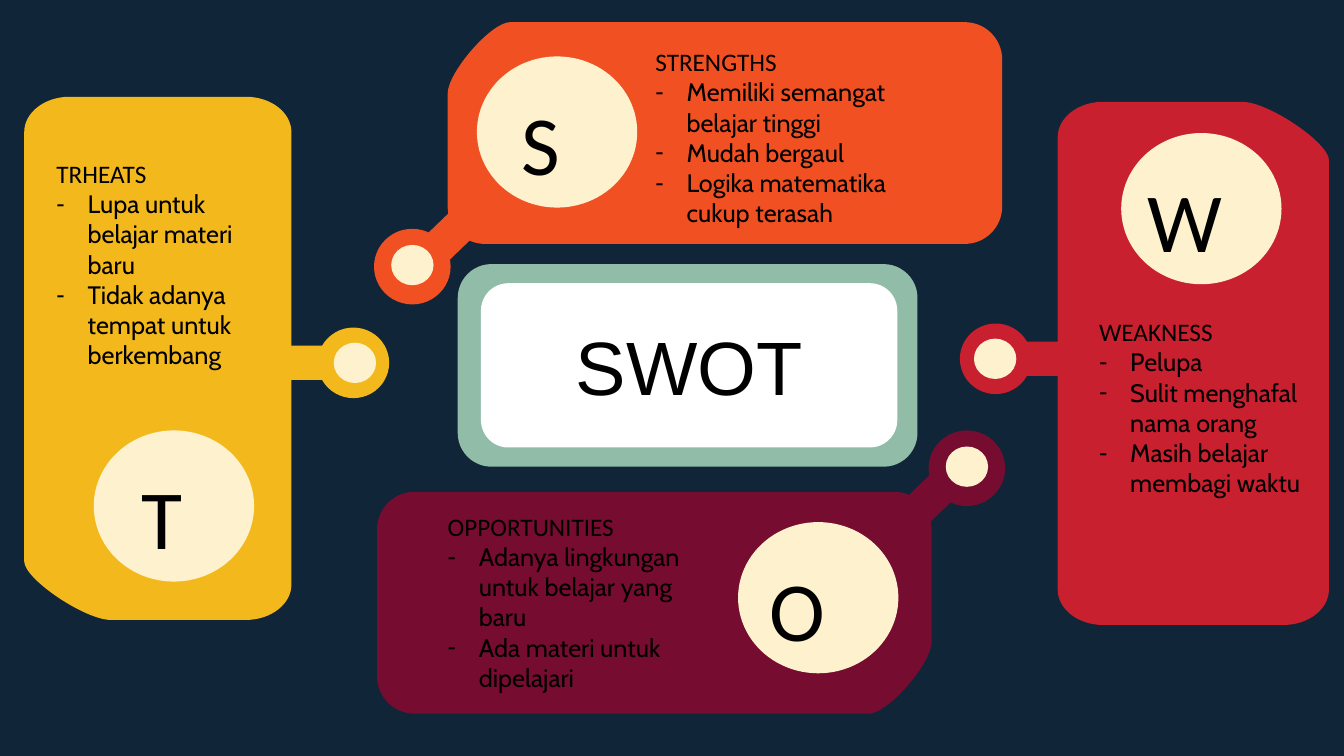
from dataclasses import dataclass

from lxml.etree import SubElement
from pptx import Presentation
from pptx.dml.color import RGBColor
from pptx.enum.shapes import MSO_SHAPE as Preset
from pptx.enum.text import MSO_ANCHOR as Anchor, MSO_AUTO_SIZE as AutoSize, PP_ALIGN as Align
from pptx.oxml.ns import qn
from pptx.util import Inches, Pt


@dataclass(frozen=True)
class Theme:
    navy: str = "102538"
    mint: str = "90BCA8"
    cream: str = "FEF1CE"
    white: str = "FFFFFF"
    ink: str = "000000"
    orange: str = "F15022"
    red: str = "C8202F"
    plum: str = "760C30"
    gold: str = "F3B81C"
    title_font: str = "Arial"
    heading_font: str = "Calibri"
    list_font: str = "Cabin"
    title_size: int = 54
    letter_size: int = 60
    body_size: int = 18


THEME = Theme()
DISC = (1.59, 1.5)
CORE = (0.42, 0.4)
ARM = (0.56, 0.34)
LETTER_BOX = (0.58, 1.11)
LETTER_DROP = 0.3
INDENT = 0.31
# Corners clockwise: name, right side?, bottom side?, vertical edge first?
CORNERS = [("TL", 0, 0, True), ("TR", 1, 0, False), ("BR", 1, 1, True), ("BL", 0, 1, False)]


def panel_outline(box, radius, cut_corner, cut):
    """Four Bézier points per corner; the cut corner is longer and flatter."""
    left, top, width, height = box
    points = []
    for name, right, bottom, vertical_first in CORNERS:
        (rx, ry), pull = (cut, 0.7) if name == cut_corner else (radius, 0.45)
        x, y = left + right * width, top + bottom * height
        dx, dy = (-rx if right else rx), (-ry if bottom else ry)
        curve = [(x, y + dy), (x, y + dy * pull), (x + dx * pull, y), (x + dx, y)]
        points += curve if vertical_first else curve[::-1]
    return points


class SwotSlide:
    def __init__(self, deck, theme):
        self.theme = theme
        self.slide = deck.slides.add_slide(deck.slide_layouts.get_by_name("Comparison"))
        self.shapes = self.slide.shapes
        background = self.slide.background.fill
        background.solid()
        background.fore_color.rgb = RGBColor.from_string(theme.navy)
        self.title = self.shapes.title
        self.bodies = [p for p in self.slide.placeholders if p != self.title]

    def apply(self, target, formats):
        for name, value in formats.items():
            setattr(target, name, value)

    def paint(self, shape, color):
        shape.shadow.inherit = False
        shape.fill.solid()
        shape.fill.fore_color.rgb = RGBColor.from_string(color)
        shape.line.fill.background()

    def preset(self, kind, box, color, rotation=0):
        shape = self.shapes.add_shape(kind, *map(Inches, box))
        shape.rotation = rotation
        self.paint(shape, color)

    def panel(self, color, **outline):
        start, *rest = [(Inches(x), Inches(y)) for x, y in panel_outline(**outline)]
        builder = self.shapes.build_freeform(*start)
        builder.add_line_segments(rest)
        panel = builder.convert_to_shape()
        # Join each corner's last three segments into one curve
        segments = list(panel._element.iter(qn("a:lnTo")))
        for first in range(0, len(segments), 4):
            curve = SubElement(segments[first].getparent(), qn("a:cubicBezTo"))
            segments[first].addprevious(curve)
            for segment in segments[first:first + 3]:
                curve.append(segment[0])
                segment.getparent().remove(segment)
        self.paint(panel, color)

    def style_run(self, paragraph, text, font, size):
        run = paragraph.add_run()
        run.text = text
        self.apply(run.font, {"name": font, "size": Pt(size), "bold": False})
        run.font.color.rgb = RGBColor.from_string(self.theme.ink)

    def style_frame(self, frame, anchor):
        self.apply(frame, {"word_wrap": True, "auto_size": AutoSize.NONE,
                           "vertical_anchor": anchor})

    def style_paragraph(self, paragraph, align):
        self.apply(paragraph, {"alignment": align, "line_spacing": 1.0,
                               "space_before": Pt(0), "space_after": Pt(0)})

    def place(self, shape, box):
        self.apply(shape, dict(zip(("left", "top", "width", "height"), map(Inches, box))))
        self.shapes._spTree.append(shape._element)  # bring to front

    def heading(self, text, box):
        self.place(self.title, box)
        self.style_frame(self.title.text_frame, Anchor.MIDDLE)
        paragraph = self.title.text_frame.paragraphs[0]
        self.style_paragraph(paragraph, Align.CENTER)
        self.style_run(paragraph, text, self.theme.title_font, self.theme.title_size)

    def letter(self, text, left, top):
        box = self.shapes.add_textbox(*map(Inches, (left, top, *LETTER_BOX)))
        self.style_frame(box.text_frame, Anchor.TOP)
        self.style_run(box.text_frame.paragraphs[0], text,
                       self.theme.heading_font, self.theme.letter_size)

    def bullet_list(self, heading, points, box):
        body = self.bodies.pop(0)
        self.place(body, box)
        frame = body.text_frame
        self.style_frame(frame, Anchor.TOP)
        for index, text in enumerate([heading, *points]):
            paragraph = frame.add_paragraph() if index else frame.paragraphs[0]
            self.style_paragraph(paragraph, Align.LEFT)
            indent = Inches(INDENT) if index else 0
            props = paragraph._p.get_or_add_pPr()
            props.set("marL", str(indent))
            props.set("indent", str(-indent))
            if index:
                SubElement(props, qn("a:buChar")).set("char", "-")
            else:
                SubElement(props, qn("a:buNone"))
            font = self.theme.list_font if index else self.theme.heading_font
            self.style_run(paragraph, text, font, self.theme.body_size)

    def quadrant(self, color, outline, ring, arm, core, disc, letter, notes):
        self.panel(color, **outline)
        # Hub joined to the panel by a short arm
        arm_left, arm_top, turn = arm
        self.preset(Preset.OVAL, ring, color)
        self.preset(Preset.RECTANGLE, (arm_left, arm_top, *ARM), color, turn)
        self.preset(Preset.OVAL, (*core, *CORE), self.theme.cream)
        # Initial on its disc, then the list
        self.preset(Preset.OVAL, (*disc, *DISC), self.theme.cream)
        initial, letter_left = letter
        self.letter(initial, letter_left, disc[1] + LETTER_DROP)
        self.bullet_list(*notes)


WIDE = {"radius": (0.37, 0.37), "cut": (0.62, 0.71)}
TALL = {"radius": (0.45, 0.35), "cut": (0.86, 0.58)}
QUADRANTS = [
    dict(color=THEME.orange, outline=dict(WIDE, box=(4.44, 0.22, 5.5, 2.2), cut_corner="TL"),
         ring=(3.71, 2.27, 0.76, 0.75), arm=(4.16, 2.19, 136), core=(3.88, 2.43),
         disc=(4.73, 0.56), letter=("S", 5.07),
         notes=("STRENGTHS", ["Memiliki semangat belajar tinggi", "Mudah bergaul",
                              "Logika matematika cukup terasah"], (6.4, 0.41, 2.88, 1.92))),
    dict(color=THEME.red, outline=dict(TALL, box=(10.49, 1.01, 2.69, 5.19), cut_corner="TR"),
         ring=(9.52, 3.21, 0.71, 0.7), arm=(10.09, 3.39, 180), core=(9.66, 3.36),
         disc=(11.12, 1.32), letter=("W", 11.28),
         notes=("WEAKNESS", ["Pelupa", "Sulit menghafal nama orang",
                             "Masih belajar membagi waktu"], (10.8, 3.09, 2.72, 1.92))),
    dict(color=THEME.plum, outline=dict(WIDE, box=(3.74, 4.88, 5.5, 2.2), cut_corner="BR"),
         ring=(9.21, 4.27, 0.76, 0.75), arm=(8.96, 4.76, 316), core=(9.38, 4.43),
         disc=(7.32, 5.18), letter=("O", 7.53),
         notes=("OPPORTUNITIES", ["Adanya lingkungan untuk belajar yang baru",
                                  "Ada materi untuk dipelajari"], (4.34, 5.02, 2.88, 1.92))),
    dict(color=THEME.gold, outline=dict(TALL, box=(0.24, 0.96, 2.65, 5.19), cut_corner="BL"),
         ring=(3.15, 3.25, 0.71, 0.7), arm=(2.73, 3.43, 0), core=(3.31, 3.4),
         disc=(0.93, 4.27), letter=("T", 1.31),
         notes=("TRHEATS", ["Lupa untuk belajar materi baru",
                            "Tidak adanya tempat untuk berkembang"], (0.46, 1.52, 2.3, 2.22))),
]


def main():
    deck = Presentation()
    deck.slide_width, deck.slide_height = Inches(13.33), Inches(7.5)
    swot = SwotSlide(deck, THEME)
    # Central title plate
    plate = (4.77, 2.81, 4.13, 1.63)
    swot.preset(Preset.ROUNDED_RECTANGLE, (4.54, 2.62, 4.56, 2.01), THEME.mint)
    swot.preset(Preset.ROUNDED_RECTANGLE, plate, THEME.white)
    swot.heading("SWOT", plate)
    # Four quadrants
    for quadrant in QUADRANTS:
        swot.quadrant(**quadrant)
    deck.save("out.pptx")


if __name__ == "__main__":
    main()
